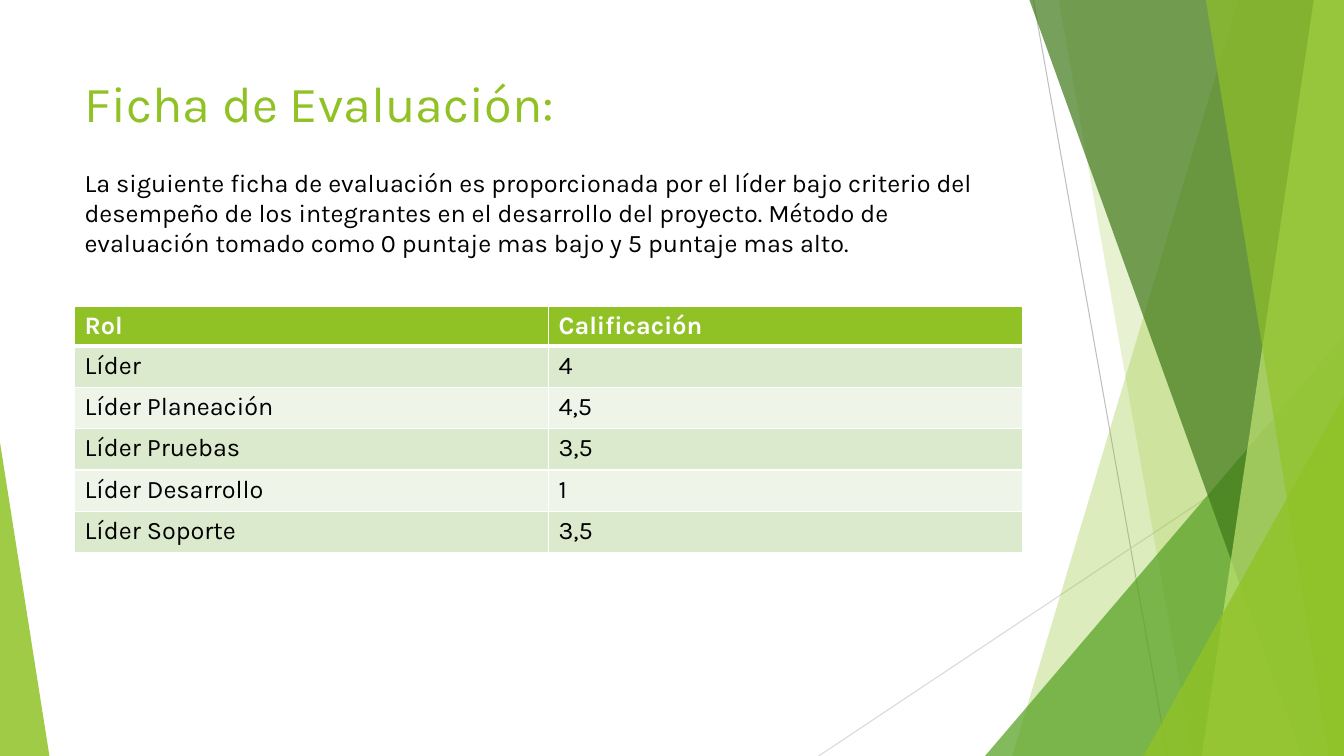
"""Build the evaluation sheet slide with its table and faceted green edges."""
from lxml.etree import SubElement
from pptx import Presentation
from pptx.dml.color import RGBColor
from pptx.enum.shapes import MSO_CONNECTOR, MSO_SHAPE
from pptx.enum.text import MSO_ANCHOR, PP_ALIGN
from pptx.oxml.ns import qn
from pptx.util import Inches, Pt

TITLE = "Ficha de Evaluación:"
INTRO = ("La siguiente ficha de evaluación es proporcionada por el líder bajo "
         "criterio del desempeño de los integrantes en el desarrollo del proyecto. "
         "Método de evaluación tomado como 0 puntaje mas bajo y 5 puntaje mas alto.")
ROWS = [("Rol", "Calificación"), ("Líder", "4"), ("Líder Planeación", "4,5"),
        ("Líder Pruebas", "3,5"), ("Líder Desarrollo", "1"), ("Líder Soporte", "3,5")]
THEME = dict(font="Karla", head=36, body=18, green="90C226", leaf="54A021",
             pine="3F7819", lime="C0E474", black="000000", white="FFFFFF",
             bands=("EEF4E8", "DBE9CD"), rays=("BFBFBF", "D9D9D9"))
WIDE, HIGH = 13.33, 7.5
LEFT, SPAN = 0.74, 9.4
RAYS = [(10.25, 0, 11.58, HIGH), (WIDE, 4.03, 8.12, HIGH)]
FACETS = [
    ("band", 12.28, 10.04, "green", 30),
    ("band", 10.5, 11.83, "green", 20),
    ("peak", 9.77, 3.33, 3.56, 1, "leaf", 72),
    ("band", 10.21, 12.91, "pine", 70),
    ("band", 13.03, 11.92, "lime", 70),
    ("band", 11.96, 13.18, "green", 65),
    ("peak", 11.34, 3.93, 1.99, 1, "green", 80),
    ("peak", 0, 4.39, 0.49, 0, "green", 85),
]


def tint(name):
    return RGBColor.from_string(THEME.get(name, name))


def place(shape, *box):
    for key, val in zip(("left", "top", "width", "height"), box):
        setattr(shape, key, Inches(val))


def write(frame, text, size, color, bold=False):
    frame.text = text
    para = frame.paragraphs[0]
    para.alignment = PP_ALIGN.LEFT
    look = dict(name=THEME["font"], size=Pt(THEME[size]), bold=bold)
    for key, val in look.items():
        setattr(para.font, key, val)
    para.font.color.rgb = tint(color)


def paint(shape, color, alpha):
    shape.shadow.inherit = False
    shape.fill.solid()
    shape.fill.fore_color.rgb = tint(color)
    shape.line.fill.background()
    fill = shape._element.spPr.find(qn("a:solidFill"))
    SubElement(fill[0], qn("a:alpha"), val=str(alpha * 1000))


def band(shapes, top, foot, color, alpha):
    pen = shapes.build_freeform(Inches(top), 0)
    ends = [(WIDE, 0), (WIDE, HIGH), (foot, HIGH)]
    pen.add_line_segments([(Inches(x), Inches(y)) for x, y in ends])
    paint(pen.convert_to_shape(), color, alpha)


def peak(shapes, left, top, width, tip, color, alpha):
    box = map(Inches, (left, top, width, HIGH - top))
    shape = shapes.add_shape(MSO_SHAPE.ISOSCELES_TRIANGLE, *box)
    shape.adjustments[0] = tip
    paint(shape, color, alpha)


def edge(cell, side, width):
    line = SubElement(cell._tc.get_or_add_tcPr(), qn("a:ln" + side), w=str(Pt(width)))
    fill = SubElement(line, qn("a:solidFill"))
    SubElement(fill, qn("a:srgbClr"), val=THEME["white"])


def grid(shapes):
    box = map(Inches, (LEFT, 3.04, SPAN, 2.43))
    table = shapes.add_table(len(ROWS), len(ROWS[0]), *box).table
    for r, row in enumerate(ROWS):
        table.rows[r].height = Inches(0.41 if r else 0.38)
        for c, text in enumerate(row):
            cell = table.cell(r, c)
            for side in "LRTB":
                thick = (r, side) in ((0, "B"), (1, "T"))
                edge(cell, side, 3 if thick else 1)
            cell.fill.solid()
            cell.fill.fore_color.rgb = tint(THEME["bands"][r % 2] if r else "green")
            write(cell.text_frame, text, "body", "black" if r else "white", not r)


def main():
    deck = Presentation()
    deck.slide_width, deck.slide_height = Inches(WIDE), Inches(HIGH)
    slide = deck.slides.add_slide(deck.slide_layouts[5])
    shapes = slide.shapes
    for ends, color in zip(RAYS, THEME["rays"]):
        ray = shapes.add_connector(MSO_CONNECTOR.STRAIGHT, *map(Inches, ends))
        ray.line.color.rgb, ray.line.width = tint(color), Pt(0.75)
        SubElement(ray._element.spPr, qn("a:effectLst"))
    for kind, *form in FACETS:
        dict(band=band, peak=peak)[kind](shapes, *form)
    title = shapes.title
    place(title, LEFT, 0.67, SPAN, 0.83)
    write(title.text_frame, TITLE, "head", "green")
    grid(shapes)
    intro = shapes.add_textbox(0, 0, 0, 0)
    place(intro, LEFT, 1.61, SPAN, 1.01)
    write(intro.text_frame, INTRO, "body", "black")
    for shape in (title, intro):
        for key, val in dict(word_wrap=True, vertical_anchor=MSO_ANCHOR.TOP).items():
            setattr(shape.text_frame, key, val)
    deck.save("out.pptx")


main()
